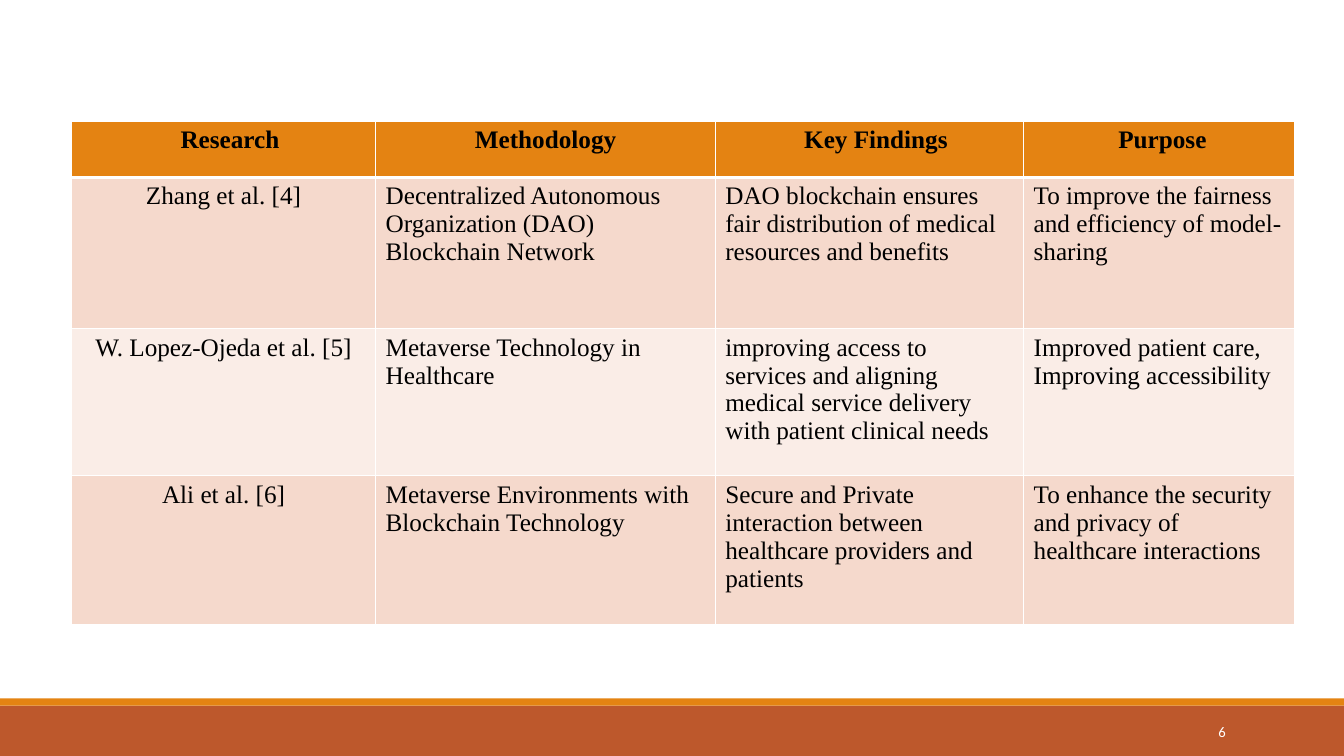
from dataclasses import dataclass

from lxml.etree import SubElement
from pptx import Presentation
from pptx.dml.color import RGBColor
from pptx.enum.shapes import MSO_SHAPE
from pptx.enum.text import MSO_ANCHOR, PP_ALIGN
from pptx.oxml.ns import qn
from pptx.slide import Slide
from pptx.table import _Cell
from pptx.text.text import _Paragraph
from pptx.util import Cm, Pt

ORANGE = RGBColor(0xE4, 0x83, 0x12)
RUST = RGBColor(0xBD, 0x58, 0x2C)
BAND_DARK = RGBColor(0xF5, 0xD9, 0xCC)
BAND_LIGHT = RGBColor(0xFA, 0xED, 0xE7)
BLACK = RGBColor(0, 0, 0)
WHITE = RGBColor(0xFF, 0xFF, 0xFF)

SLIDE_W, SLIDE_H = 33.87, 19.05
COL_WIDTHS = (7.67, 8.56, 7.77, 6.83)
ROW_HEIGHTS = (1.42, 3.81, 3.71, 3.76)
CELL_MARGIN = 0.25


@dataclass(frozen=True)
class Bar:
    top: float
    height: float
    color: RGBColor


@dataclass(frozen=True)
class Heading:
    text: str
    shift: float = 0


@dataclass(frozen=True)
class Study:
    research: str
    methodology: str
    findings: str
    purpose: tuple[str, ...]
    purpose_align: PP_ALIGN = PP_ALIGN.LEFT


BARS = (Bar(17.78, 1.27, RUST), Bar(17.6, 0.18, ORANGE))

HEADINGS = (
    Heading("Research", 0.32),
    Heading("Methodology"),
    Heading("Key Findings", 0.32),
    Heading("Purpose", 0.16),
)

STUDIES = (
    Study(
        "Zhang et al. [4]",
        "Decentralized Autonomous Organization (DAO) Blockchain Network",
        "DAO blockchain ensures fair distribution of medical resources and benefits",
        ("To improve the fairness and efficiency of model-sharing",),
    ),
    Study(
        "W. Lopez-Ojeda et al. [5]",
        "Metaverse Technology in Healthcare",
        "improving access to services and aligning medical service delivery "
        "with patient clinical needs",
        ("Improved patient care,", "Improving accessibility"),
        PP_ALIGN.JUSTIFY,
    ),
    Study(
        "Ali et al. [6]",
        "Metaverse Environments with Blockchain Technology",
        "Secure and Private interaction between healthcare providers and patients",
        ("To enhance the security and privacy of healthcare interactions",),
    ),
)


def add_run(p: _Paragraph, text: str, font: str, size: float,
            color: RGBColor, bold: bool = False) -> None:
    r = p.add_run()
    r.text = text
    r.font.name = font
    r.font.size = Pt(size)
    r.font.bold = bold
    r.font.color.rgb = color


def add_bar(s: Slide, bar: Bar) -> None:
    sp = s.shapes.add_shape(MSO_SHAPE.RECTANGLE, 0, Cm(bar.top),
                            Cm(SLIDE_W), Cm(bar.height))
    sp.shadow.inherit = False
    sp.fill.solid()
    sp.fill.fore_color.rgb = bar.color
    sp.line.fill.background()


def add_page_number(s: Slide, number: str) -> None:
    sp = s.shapes.add_textbox(Cm(27.51), Cm(17.93), Cm(3.63), Cm(1.02))
    tf = sp.text_frame
    tf.word_wrap = True
    tf.vertical_anchor = MSO_ANCHOR.MIDDLE
    p = tf.paragraphs[0]
    p.alignment = PP_ALIGN.RIGHT
    add_run(p, number, "Calibri", 10.5, WHITE)


def set_border(cell: _Cell, side: str, width: float) -> None:
    ln = SubElement(cell._tc.get_or_add_tcPr(), qn(f"a:ln{side}"), w=str(Pt(width)))
    fill = SubElement(ln, qn("a:solidFill"))
    SubElement(fill, qn("a:srgbClr"), val=str(WHITE))


def fill_cell(cell: _Cell, lines: tuple[str, ...], align: PP_ALIGN, color: RGBColor,
              row: int, shift: float = 0) -> None:
    header = row == 0
    widths = {"L": 1, "R": 1, "T": 3 if row == 1 else 1, "B": 3 if header else 1}
    for side, width in widths.items():
        set_border(cell, side, width)
    cell.fill.solid()
    cell.fill.fore_color.rgb = color
    cell.margin_left = Cm(CELL_MARGIN + shift)
    cell.margin_right = Cm(CELL_MARGIN)
    tf = cell.text_frame
    for i, line in enumerate(lines):
        p = tf.add_paragraph() if i else tf.paragraphs[0]
        p.alignment = align
        add_run(p, line, "Times New Roman", 18, BLACK, header)


def add_study_table(s: Slide) -> None:
    table = s.shapes.add_table(
        len(ROW_HEIGHTS), len(COL_WIDTHS), Cm(1.8), Cm(3.05),
        Cm(sum(COL_WIDTHS)), Cm(sum(ROW_HEIGHTS))).table
    for column, width in zip(table.columns, COL_WIDTHS):
        column.width = Cm(width)
    for row, height in zip(table.rows, ROW_HEIGHTS):
        row.height = Cm(height)
    for c, heading in enumerate(HEADINGS):
        fill_cell(table.cell(0, c), (heading.text,), PP_ALIGN.CENTER,
                  ORANGE, 0, heading.shift)
    for r, study in enumerate(STUDIES, start=1):
        color = BAND_DARK if r % 2 else BAND_LIGHT
        columns = (
            ((study.research,), PP_ALIGN.CENTER),
            ((study.methodology,), PP_ALIGN.LEFT),
            ((study.findings,), PP_ALIGN.LEFT),
            (study.purpose, study.purpose_align),
        )
        for c, (lines, align) in enumerate(columns):
            fill_cell(table.cell(r, c), lines, align, color, r)


def main() -> None:
    prs = Presentation()
    prs.slide_width, prs.slide_height = Cm(SLIDE_W), Cm(SLIDE_H)
    s = prs.slides.add_slide(prs.slide_layouts[6])
    for bar in BARS:
        add_bar(s, bar)
    add_page_number(s, "6")
    add_study_table(s)
    prs.save("out.pptx")


if __name__ == "__main__":
    main()
